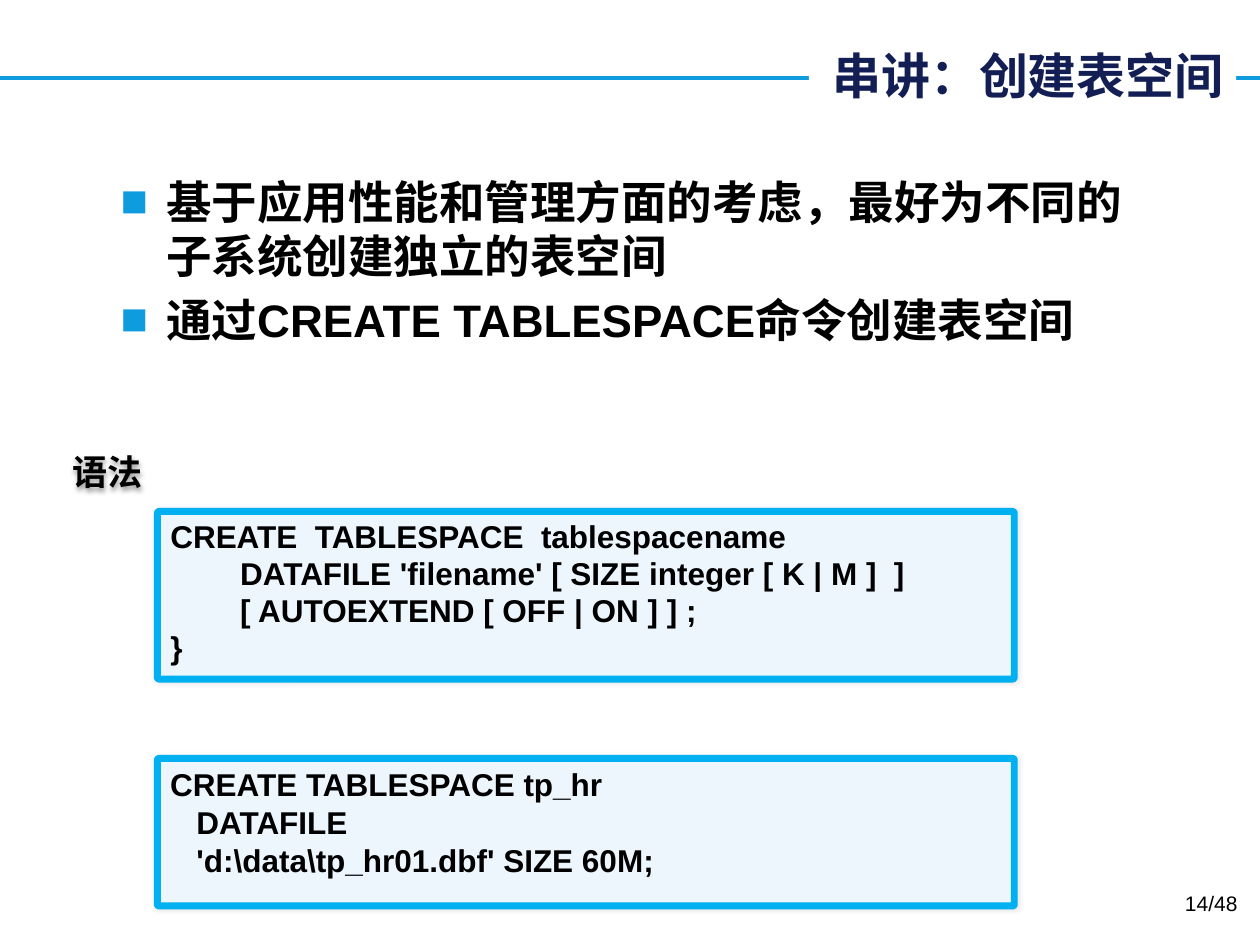
from lxml import etree
from pptx import Presentation
from pptx.dml.color import RGBColor
from pptx.enum.shapes import MSO_CONNECTOR, MSO_SHAPE
from pptx.enum.text import MSO_ANCHOR, PP_ALIGN
from pptx.oxml.ns import qn
from pptx.util import Inches, Pt

STRAIGHT = MSO_CONNECTOR.STRAIGHT
ROUNDED, RECTANGLE = MSO_SHAPE.ROUNDED_RECTANGLE, MSO_SHAPE.RECTANGLE
TOP, MIDDLE = MSO_ANCHOR.TOP, MSO_ANCHOR.MIDDLE
LEFT, RIGHT = PP_ALIGN.LEFT, PP_ALIGN.RIGHT

WHITE = RGBColor(0xFF, 0xFF, 0xFF)
BLACK = RGBColor(0x00, 0x00, 0x00)
NAVY = RGBColor(0x12, 0x1E, 0x54)
BLUE = RGBColor(0x0E, 0x9C, 0xDE)
BORDER = RGBColor(0x00, 0xB0, 0xF0)
PANEL = RGBColor(0xED, 0xF5, 0xFD)

WIDTH, HEIGHT = Inches(10), Inches(7.5)
COLUMNS, ROWS = 100, 75
LATIN, CHINESE = "Arial", "Noto Sans CJK SC"


class SlideBuilder:
    """Holds the style and the current page; places parts on the grid."""

    def __init__(self, page):
        self.page = page
        self.style = {"name": LATIN, "size": Pt(18), "bold": True}

    def place(self, column, row, columns, rows):
        across, down = WIDTH / COLUMNS, HEIGHT / ROWS
        return [round(value) for value in
                (column * across, row * down, columns * across, rows * down)]

    def rule(self, row, color, width):
        left, top, length, _ = self.place(0, row, COLUMNS, 0)
        line = self.page.shapes.add_connector(STRAIGHT, left, top, left + length, top)
        line.line.color.rgb = color
        line.line.width = Pt(width)
        etree.SubElement(line._element.spPr, qn("a:effectLst"))

    def fill_text(self, box, lines, color=BLACK, align=LEFT, anchor=TOP,
                  wrap=True, bullet=None, spacing=None, **changes):
        frame = box.text_frame
        frame.word_wrap = wrap
        frame.vertical_anchor = anchor
        for index, words in enumerate(lines):
            para = frame.paragraphs[0] if index == 0 else frame.add_paragraph()
            para.alignment = align
            if bullet:
                self.add_bullet(para, bullet)
                if index:
                    para.space_before = Pt(5.2)
            if spacing and index < len(lines) - 1:
                para.line_spacing = Pt(spacing)
            span = para.add_run()
            span.text = words
            for key, value in {**self.style, **changes}.items():
                setattr(span.font, key, value)
            span.font.color.rgb = color
            # Chinese characters use the same typeface setting
            etree.SubElement(span._r.get_or_add_rPr(), qn("a:ea"),
                             typeface=span.font.name)

    def add_bullet(self, para, color):
        properties = para._p.get_or_add_pPr()
        properties.set("marL", str(Inches(0.36)))
        properties.set("indent", str(-Inches(0.36)))
        tint = etree.SubElement(properties, qn("a:buClr"))
        etree.SubElement(tint, qn("a:srgbClr"), val=str(color))
        etree.SubElement(properties, qn("a:buFont"), typeface=LATIN)
        etree.SubElement(properties, qn("a:buChar"), char="■")

    def add_shadow(self, shape, opacity, blur, distance=0):
        shape.shadow.inherit = False
        effects = shape._element.spPr.find(qn("a:effectLst"))
        shadow = etree.SubElement(effects, qn("a:outerShdw"), blurRad=str(Pt(blur)),
                                  dist=str(Pt(distance)), dir="5400000", rotWithShape="0")
        tint = etree.SubElement(shadow, qn("a:srgbClr"), val=str(BLACK))
        etree.SubElement(tint, qn("a:alpha"), val=str(opacity * 1000))

    def text(self, area, lines, **format_values):
        box = self.page.shapes.add_textbox(*self.place(*area))
        self.fill_text(box, lines, **format_values)
        return box

    def heading(self, area, words):
        box = self.page.shapes.add_shape(RECTANGLE, *self.place(*area))
        box.shadow.inherit = False
        box.fill.solid()
        box.fill.fore_color.rgb = WHITE
        box.line.fill.background()
        self.fill_text(box, [words], color=NAVY, align=RIGHT, anchor=MIDDLE,
                       name=CHINESE, size=Pt(28))

    def code(self, row, rows, lines, spacing=None):
        box = self.page.shapes.add_shape(ROUNDED, *self.place(12.5, row, 68, rows))
        box.adjustments[0] = 0.01
        box.fill.solid()
        box.fill.fore_color.rgb = PANEL
        box.line.color.rgb = BORDER
        box.line.width = Pt(4)
        self.add_shadow(box, 10, 3)
        self.fill_text(box, lines, spacing=spacing)


def main():
    deck = Presentation()
    deck.slide_width, deck.slide_height = WIDTH, HEIGHT
    builder = SlideBuilder(deck.slides.add_slide(deck.slide_layouts[6]))

    # Heading over the rule
    builder.rule(6.2, BLUE, 2.25)
    builder.heading((64.2, 3.1, 33.9, 5.7), "串讲：创建表空间")

    # Main points
    builder.text((8.6, 13.3, 83.6, 20), [
        "基于应用性能和管理方面的考虑，最好为不同的子系统创建独立的表空间",
        "通过CREATE TABLESPACE命令创建表空间",
    ], bullet=BLUE, size=Pt(26))

    # Syntax label
    label = builder.text((4.8, 35.2, 7.7, 4.4), ["语法"], anchor=MIDDLE,
                         wrap=False, name=CHINESE, size=Pt(20))
    builder.add_shadow(label, 40, 3, 2)

    # Syntax and example
    builder.code(40.6, 13.3, [
        "CREATE  TABLESPACE  tablespacename",
        "        DATAFILE 'filename' [ SIZE integer [ K | M ]  ]",
        "        [ AUTOEXTEND [ OFF | ON ] ] ;",
        "}",
    ], spacing=21)
    builder.code(60.2, 11.7, [
        "CREATE TABLESPACE tp_hr",
        "   DATAFILE",
        "   'd:\\data\\tp_hr01.dbf' SIZE 60M;",
    ])

    # Page number
    builder.text((75.9, 70.2, 23.3, 4), ["14/48"], align=RIGHT,
                 size=Pt(12), bold=False)

    deck.save("out.pptx")


if __name__ == "__main__":
    main()
